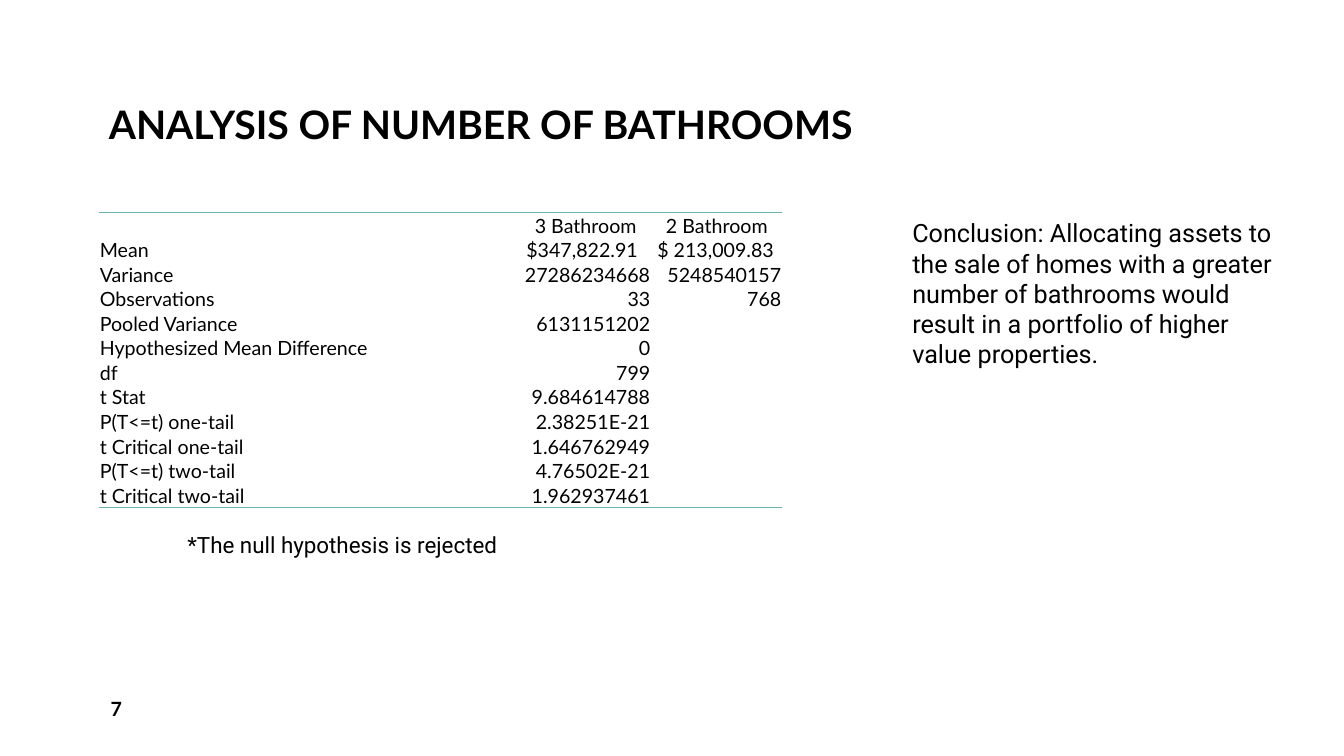
from lxml import etree
from pptx import Presentation
from pptx import util as u
from pptx.dml.color import RGBColor
from pptx.enum import text
from pptx.oxml.ns import qn

COLORS = {"ink": "000000", "rule": "66B2B0"}
LEFT, TOP = 0.98, 2.11  # corner of the content grid
COLUMNS = [4.18, 1.3, 1.3]
TABLE_HEIGHT = 2.9
TABLE_SIZE = 14

STATISTICS = [
    ("", "3 Bathroom", "2 Bathroom"),
    ("Mean", "$347,822.91", "$ 213,009.83"),
    ("Variance", "27286234668", "5248540157"),
    ("Observations", "33", "768"),
    ("Pooled Variance", "6131151202", ""),
    ("Hypothesized Mean Difference", "0", ""),
    ("df", "799", ""),
    ("t Stat", "9.684614788", ""),
    ("P(T<=t) one-tail", "2.38251E-21", ""),
    ("t Critical one-tail", "1.646762949", ""),
    ("P(T<=t) two-tail", "4.76502E-21", ""),
    ("t Critical two-tail", "1.962937461", ""),
]


def add_run(paragraph, words, size, font, bold=False):
    run = paragraph.add_run()
    run.text = words
    run.font.size = u.Pt(size)
    run.font.name = font
    run.font.bold = bold
    run.font.color.rgb = RGBColor.from_string(COLORS["ink"])


def place(shape, left, top, width, height):
    shape.left, shape.top = u.Inches(left), u.Inches(top)
    shape.width, shape.height = u.Inches(width), u.Inches(height)


def add_title(slide, words):
    title = slide.shapes.title
    place(title, LEFT, 0.15, 8.16, 1.37)
    frame = title.text_frame
    frame.word_wrap = True
    frame.vertical_anchor = text.MSO_ANCHOR.BOTTOM
    heading = frame.paragraphs[0]
    heading.alignment = text.PP_ALIGN.LEFT
    heading.line_spacing = 0.9
    add_run(heading, words, 28, "Lato", bold=True)


def add_note(slide, box, words, size, font="Roboto", bold=False, wrap=True,
             anchor=text.MSO_ANCHOR.TOP):
    frame = slide.shapes.add_textbox(*map(u.Inches, box)).text_frame
    frame.word_wrap = wrap
    frame.vertical_anchor = anchor
    add_run(frame.paragraphs[0], words, size, font, bold)


def add_rule(cell, side):
    line = etree.Element(qn(f"a:{side}"), w=str(u.Pt(1)))
    fill = etree.SubElement(line, qn("a:solidFill"))
    etree.SubElement(fill, qn("a:srgbClr"), val=COLORS["rule"])
    # Borders come before the fill in the cell properties
    cell._tc.get_or_add_tcPr().insert(0, line)


def cell_alignment(row, column):
    if row == 0:
        return text.PP_ALIGN.CENTER
    if row == 1 or column == 0:
        return text.PP_ALIGN.LEFT
    return text.PP_ALIGN.RIGHT


def fill_cell(cell, words, row, column):
    cell.fill.background()
    cell.vertical_anchor = text.MSO_ANCHOR.BOTTOM
    cell.margin_left = cell.margin_right = cell.margin_top = u.Inches(0.01)
    cell.margin_bottom = 0
    entry = cell.text_frame.paragraphs[0]
    entry.alignment = cell_alignment(row, column)
    if row == 1 and column > 0:  # money is indented slightly
        entry._p.get_or_add_pPr().set("marL", str(u.Inches(0.05)))
    if words:
        add_run(entry, words, TABLE_SIZE, "Lato")
    else:  # keeps an empty cell from stretching its row
        etree.SubElement(entry._p, qn("a:endParaRPr"), sz=str(TABLE_SIZE * 100))
    if row == 0:
        add_rule(cell, "lnT")
    if row == len(STATISTICS) - 1:
        add_rule(cell, "lnB")


def add_statistics(slide):
    box = map(u.Inches, (LEFT, TOP, sum(COLUMNS), TABLE_HEIGHT))
    table = slide.shapes.add_table(len(STATISTICS), len(COLUMNS), *box).table
    table.first_row = table.horz_banding = False
    # Plain table style without grid
    style = table._tbl.tblPr.find(qn("a:tableStyleId"))
    style.text = "{2D5ABB26-0587-4C30-8999-92F81FD0307C}"
    for column, width in enumerate(COLUMNS):
        table.columns[column].width = u.Inches(width)
    for row, entries in enumerate(STATISTICS):
        table.rows[row].height = u.Inches(TABLE_HEIGHT / len(STATISTICS))
        for column, words in enumerate(entries):
            fill_cell(table.cell(row, column), words, row, column)


def main():
    deck = Presentation()
    deck.slide_width, deck.slide_height = u.Inches(13.33), u.Inches(7.5)
    slide = deck.slides.add_slide(deck.slide_layouts[5])

    add_title(slide, "ANALYSIS OF NUMBER OF BATHROOMS")
    # Page number
    add_note(slide, (1, 6.83, 1.3, 0.4), "7", 14, "Lato", bold=True,
             anchor=text.MSO_ANCHOR.MIDDLE)
    add_statistics(slide)
    # Test result and conclusion
    add_note(slide, (1.76, 5.22, 3.35, 0.37),
             "*The null hypothesis is rejected", 16, wrap=False)
    add_note(slide, (8.95, TOP, 3.86, 1.62),
             "Conclusion: Allocating assets to the sale of homes with a greater "
             "number of bathrooms would result in a portfolio of higher value "
             "properties.", 18)

    deck.save("out.pptx")


if __name__ == "__main__":
    main()
